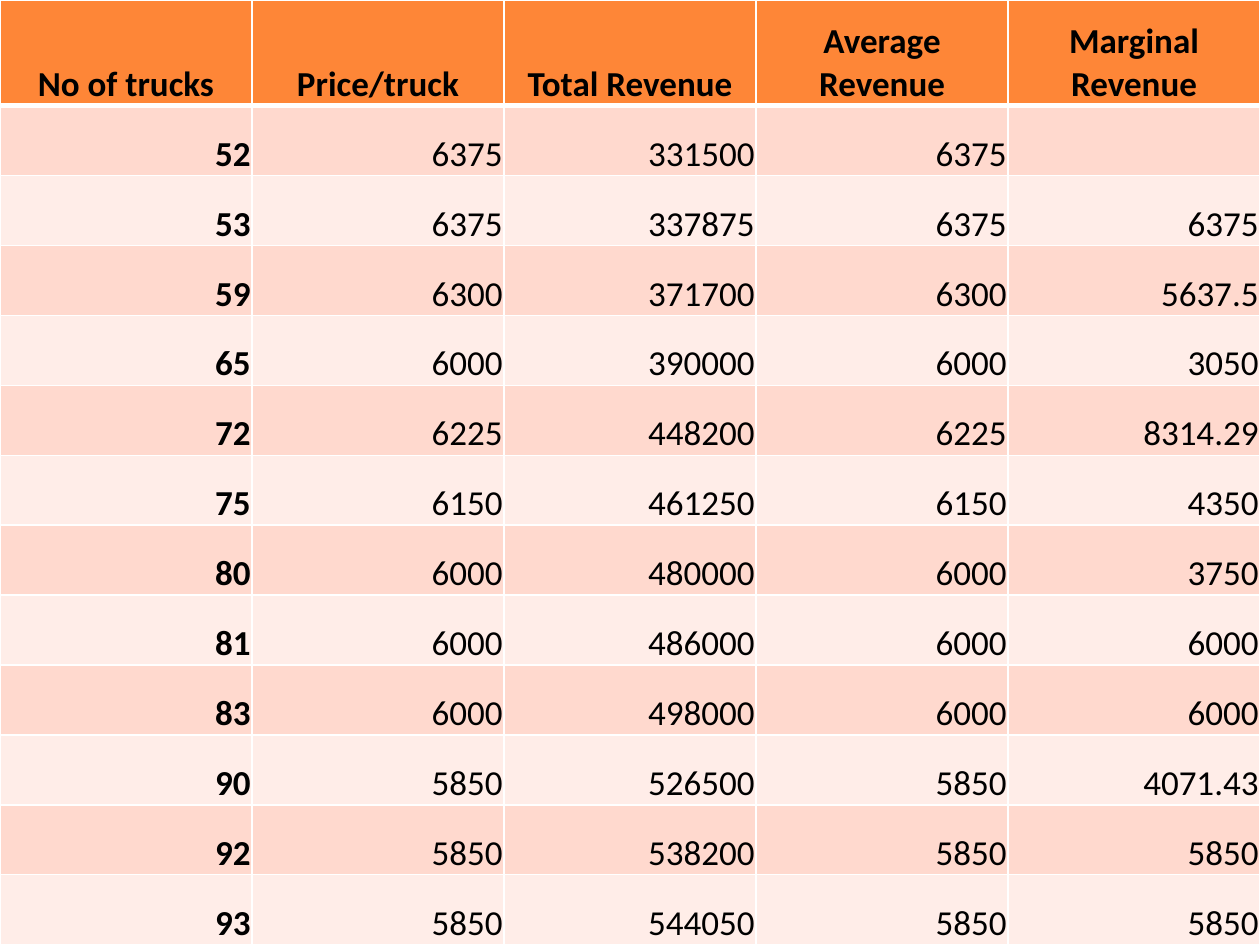
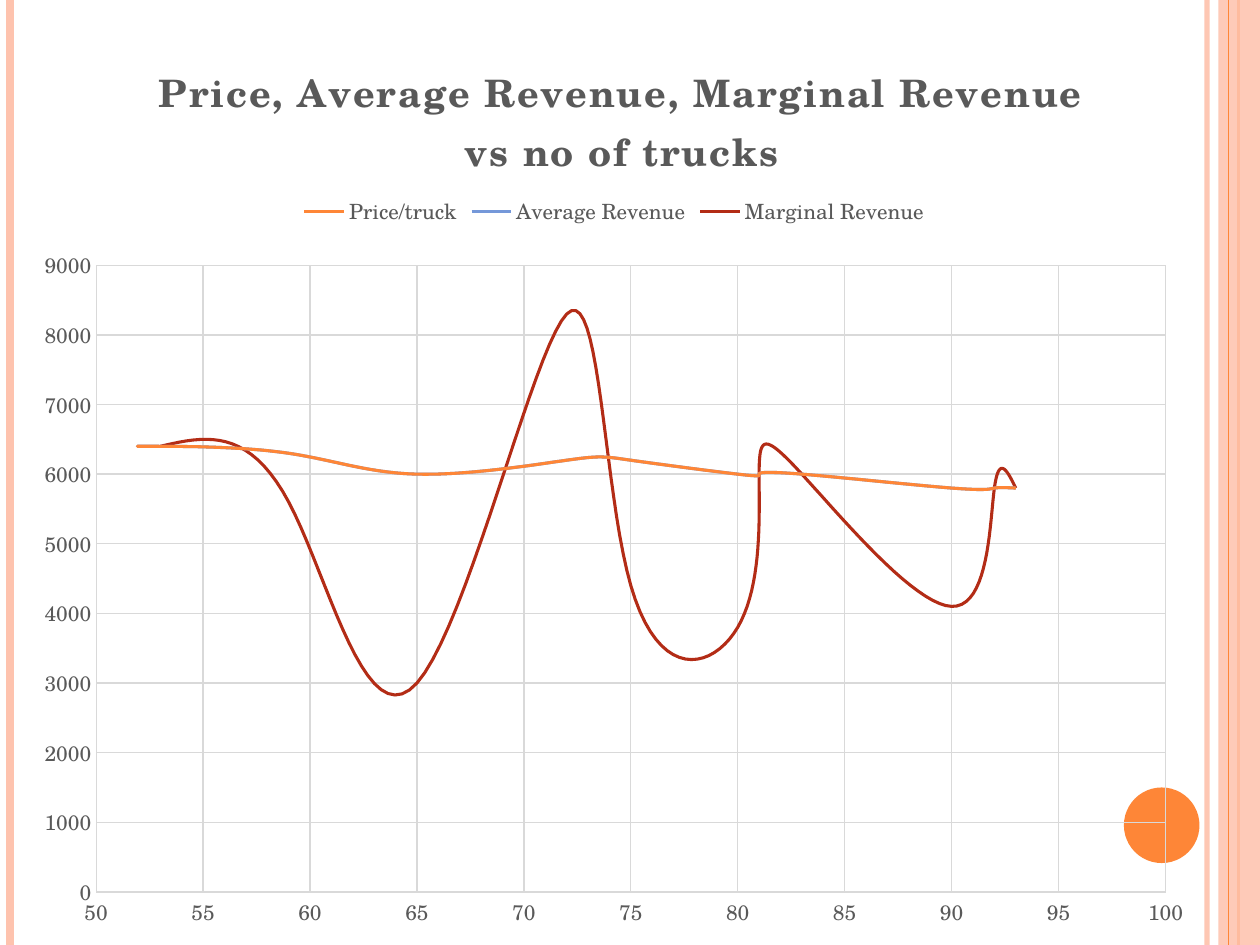
"""Build a revenue table slide and a revenue chart slide."""
import pptx
import pptx.chart.data
import pptx.dml.color
import pptx.enum.chart
import pptx.enum.shapes
import pptx.enum.text
import pptx.oxml
import pptx.oxml.ns
import pptx.util

Inches, Pt = pptx.util.Inches, pptx.util.Pt
RGBColor = pptx.dml.color.RGBColor
SHAPE = pptx.enum.shapes.MSO_SHAPE
ALIGN = pptx.enum.text.PP_ALIGN
qn = pptx.oxml.ns.qn

ORANGE = RGBColor(0xFE, 0x86, 0x37)
PEACH = RGBColor(0xFE, 0xC3, 0xAE)
BLUE = RGBColor(0x75, 0x98, 0xD9)
RED = RGBColor(0xB3, 0x2C, 0x16)
ROSE = RGBColor(0xFF, 0xD9, 0xCE)
PALE = RGBColor(0xFF, 0xED, 0xE8)
BLACK = RGBColor(0, 0, 0)
GRAY = RGBColor(0x59, 0x59, 0x59)
GRID = RGBColor(0xD9, 0xD9, 0xD9)
SERIF = "TeX Gyre Schola"

HEADS = ["No of trucks", "Price/truck", "Total Revenue", "Average Revenue", "Marginal Revenue"]
ROWS = [
    (52, 6375, 331500, 6375, None),
    (53, 6375, 337875, 6375, 6375),
    (59, 6300, 371700, 6300, 5637.5),
    (65, 6000, 390000, 6000, 3050),
    (72, 6225, 448200, 6225, 8314.29),
    (75, 6150, 461250, 6150, 4350),
    (80, 6000, 480000, 6000, 3750),
    (81, 6000, 486000, 6000, 6000),
    (83, 6000, 498000, 6000, 6000),
    (90, 5850, 526500, 5850, 4071.43),
    (92, 5850, 538200, 5850, 5850),
    (93, 5850, 544050, 5850, 5850),
]
BARS = [(9.58, PEACH, 3, 93), (0.08, PEACH, 4.5, 100), (9.83, ORANGE, 1.5, 100)]
EDGE = [(9.75, ORANGE, 0.75, 100)]


def fade(shape, share):
    for color in shape._element.spPr.iter(qn("a:srgbClr")):
        color.append(pptx.oxml.parse_xml(
            f'<a:alpha {pptx.oxml.ns.nsdecls("a")} val="{share * 1000}"/>'))


def place(part, index, **spots):
    for old in part.findall(qn("c:layout")):
        part.remove(old)
    inner = '<c:layoutTarget val="inner"/>' if index == 0 else ""
    modes = "".join(f'<c:{key}Mode val="edge"/>' for key in spots if key in "xy")
    sizes = "".join(f'<c:{key} val="{val / 100}"/>' for key, val in spots.items())
    part.insert(index, pptx.oxml.parse_xml(
        f'<c:layout {pptx.oxml.ns.nsdecls("c")}><c:manualLayout>'
        f'{inner}{modes}{sizes}</c:manualLayout></c:layout>'))


deck = pptx.Presentation()
deck.slide_width, deck.slide_height = Inches(10), Inches(7.5)
slides = [deck.slides.add_slide(deck.slide_layouts[6]) for _ in range(2)]

for slide in slides:
    for bars, kind, box, fill, share in [
        (BARS, SHAPE.RECTANGLE, (9.67, 0, 0.33, 7.5), PEACH, 87),
        (EDGE, SHAPE.OVAL, (8.92, 6.25, 0.6, 0.6), ORANGE, 100),
    ]:
        for x, color, width, alpha in bars:
            bar = slide.shapes.add_connector(
                pptx.enum.shapes.MSO_CONNECTOR.STRAIGHT,
                Inches(x), 0, Inches(x), Inches(7.5))
            bar.line.color.rgb = color
            bar.line.width = Pt(width)
            fade(bar, alpha)
            bar._element.spPr.append(pptx.oxml.parse_xml(
                f'<a:effectLst {pptx.oxml.ns.nsdecls("a")}/>'))
        shape = slide.shapes.add_shape(kind, *map(Inches, box))
        shape.shadow.inherit = False
        shape.fill.solid()
        shape.fill.fore_color.rgb = fill
        shape.line.fill.background()
        fade(shape, share)

table = slides[0].shapes.add_table(
    len(ROWS) + 1, len(HEADS), 0, 0, Inches(10), Inches(7.5)).table
for r, values in enumerate([HEADS] + ROWS):
    table.rows[r].height = Inches(0.84) if r == 0 else Inches(6.66 / len(ROWS))
    for c, value in enumerate(values):
        cell = table.cell(r, c)
        cell.margin_left = cell.margin_right = cell.margin_top = Inches(0.01)
        cell.margin_bottom = 0
        cell.vertical_anchor = pptx.enum.text.MSO_ANCHOR.BOTTOM
        for side in "LRTB":
            thick = (r, side) in [(0, "B"), (1, "T")]
            cell._tc.get_or_add_tcPr().append(pptx.oxml.parse_xml(
                f'<a:ln{side} {pptx.oxml.ns.nsdecls("a")} w="{Pt(3 if thick else 1)}">'
                f'<a:solidFill><a:srgbClr val="FFFFFF"/></a:solidFill></a:ln{side}>'))
        cell.fill.solid()
        cell.fill.fore_color.rgb = ORANGE if r == 0 else ROSE if r % 2 else PALE
        cell.text = "" if value is None else str(value)
        para = cell.text_frame.paragraphs[0]
        para.alignment = ALIGN.CENTER if r == 0 else ALIGN.RIGHT
        para.font.name = "Calibri"
        para.font.size = Pt(20)
        para.font.bold = r == 0 or c == 0
        para.font.color.rgb = BLACK

data = pptx.chart.data.XyChartData()
for col in (1, 3, 4):
    line = data.add_series(HEADS[col])
    for row in ROWS:
        line.add_data_point(row[0], None if row[col] is None else round(row[col], -2))
chart = slides[1].shapes.add_chart(
    pptx.enum.chart.XL_CHART_TYPE.XY_SCATTER_SMOOTH_NO_MARKERS,
    Inches(0.17), Inches(0.25), Inches(9.42), Inches(7.25), data).chart
chart.font.name = SERIF
chart.font.size = Pt(10)
chart.font.color.rgb = BLACK
plot = chart.plots[0]
plot.vary_by_categories = False
for line, color in zip(plot.series, (ORANGE, BLUE, RED)):
    line.marker.style = pptx.enum.chart.XL_MARKER_STYLE.NONE
    line.format.line.color.rgb = color
    line.format.line.width = Pt(1.75)
    for old in line._element.findall(qn("c:smooth")):
        line._element.remove(old)
    line._element.append(pptx.oxml.parse_xml(
        f'<c:smooth {pptx.oxml.ns.nsdecls("c")} val="1"/>'))
    for point in list(line._element.iter(qn("c:pt"))):
        if point.findtext(qn("c:v")) in ("None", ""):
            point.getparent().remove(point)

for axis, low, high, step in [
    (chart.category_axis, 50, 100, 5), (chart.value_axis, 0, 9000, 1000),
]:
    axis.minimum_scale, axis.maximum_scale, axis.major_unit = low, high, step
    axis.major_tick_mark = axis.minor_tick_mark = pptx.enum.chart.XL_TICK_MARK.NONE
    axis.has_major_gridlines = True
    for rule in (axis.format.line, axis.major_gridlines.format.line):
        rule.color.rgb = GRID
        rule.width = Pt(0.75)
    axis.tick_labels.number_format = "General"
    axis.tick_labels.number_format_is_linked = False

chart.has_legend = True
chart.legend.position = pptx.enum.chart.XL_LEGEND_POSITION.TOP
chart.legend.include_in_layout = False
for font in (chart.legend.font, chart.category_axis.tick_labels.font,
             chart.value_axis.tick_labels.font):
    font.name = SERIF
    font.size = Pt(12)
    font.color.rgb = GRAY

chart.has_title = True
head = chart.chart_title.text_frame.paragraphs[0]
run = head.add_run()
run.text = "Price, Average Revenue, Marginal Revenue vs no of trucks"
run.font.name = SERIF
run.font.size = Pt(21.6)
run.font.bold = True
run.font.color.rgb = GRAY
run._r.get_or_add_rPr().set("spc", "100")

place(chart.chart_title._element, 1, x=11, y=2.2)
place(chart.legend._element, 1, x=23.2, y=17.7, w=53.5, h=4)
place(chart._chartSpace.chart.plotArea, 0, x=6.3, y=25.6, w=90.1, h=68.6)

deck.save("out.pptx")
